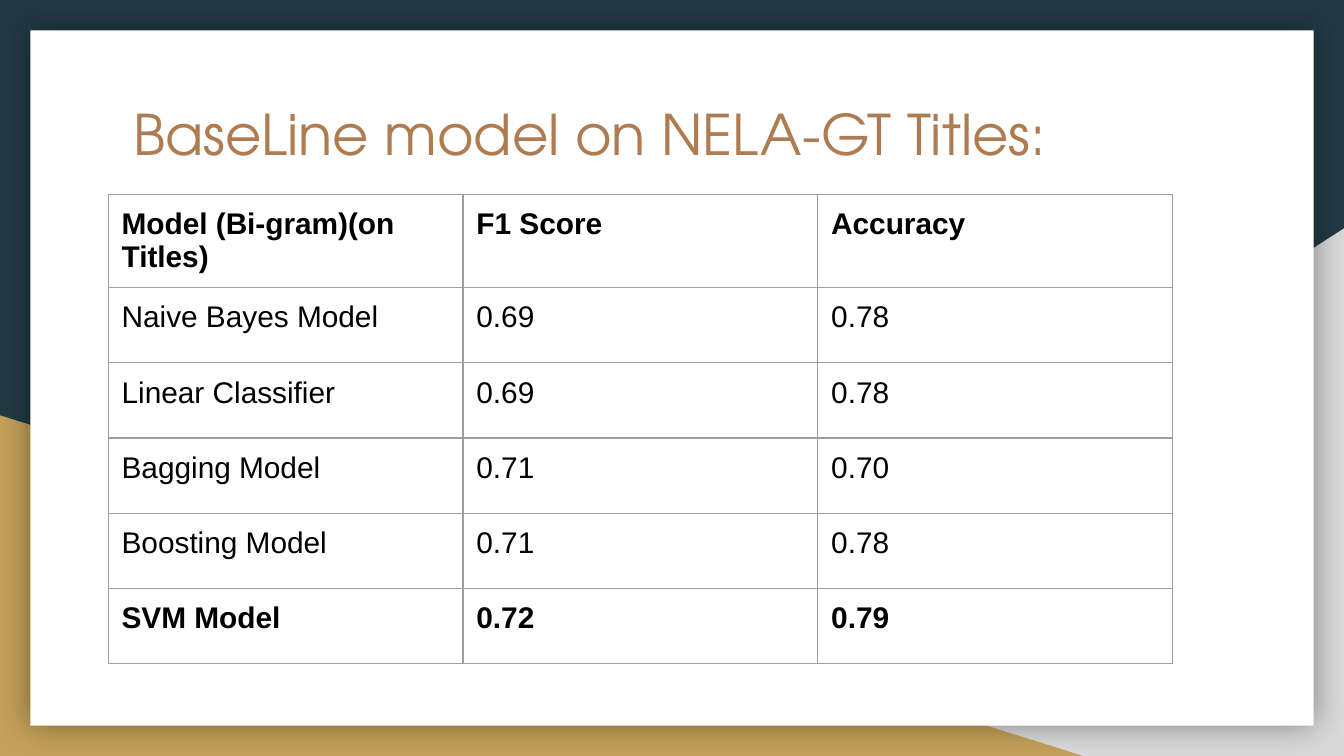
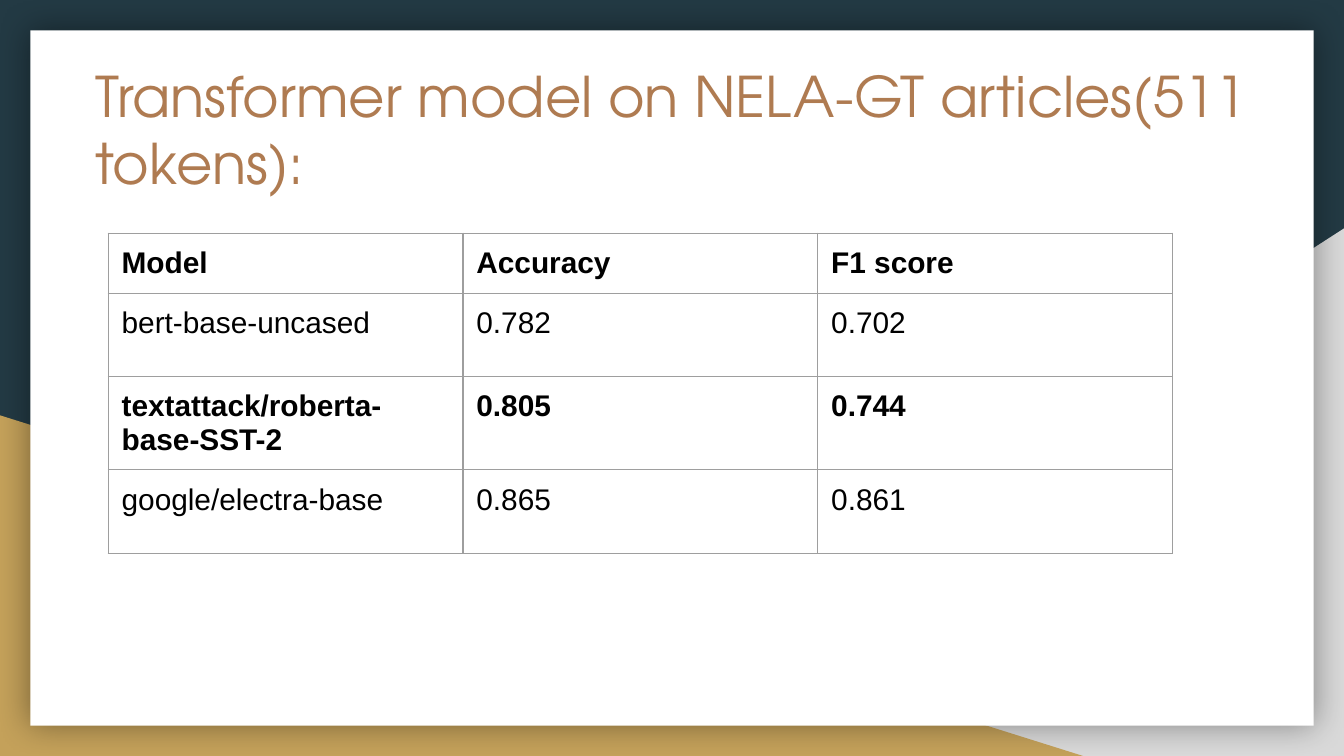
from lxml import etree
from pptx import Presentation
from pptx import util as u
from pptx.dml import color
from pptx.enum import shapes, text
from pptx.oxml import ns

PX = 4572
WIDTH, HEIGHT = 2000, 1125
MARGIN, INSET, COLUMN = 45, 20, 528
NAVY, GREY, GOLD, WHITE = "233A44", "D9D9D9", "C4A15A", "FFFFFF"
COPPER, BLACK, RULE = "AF7B51", "000000", "9E9E9E"
HEAD_FONT, BODY_FONT = "TeX Gyre Adventor", "Arial"


def px(n):
    return u.Emu(n * PX)


def rgb(value):
    return color.RGBColor.from_string(value)


def sub(parent, tag, **attrs):
    return etree.SubElement(parent, ns.qn(tag), attrs)


def write(tf, content, size, font, fill, bold=False):
    tf.word_wrap = True
    p = tf.paragraphs[0]
    p.alignment = text.PP_ALIGN.LEFT
    r = p.add_run()
    r.text = content
    r.font.size = u.Pt(size)
    r.font.name = font
    r.font.bold = bold
    r.font.color.rgb = rgb(fill)


class Deck:
    def __init__(self):
        self.prs = Presentation()
        self.prs.slide_width, self.prs.slide_height = px(WIDTH), px(HEIGHT)
        fill = self.prs.slide_master.background.fill
        fill.solid()
        fill.fore_color.rgb = rgb(NAVY)
        self.s = None

    def slide(self):
        self.s = self.prs.slides.add_slide(self.prs.slide_layouts[5])
        triangle = shapes.MSO_SHAPE.RIGHT_TRIANGLE
        right = self.shape(triangle, (784, 340, WIDTH - 784, HEIGHT - 340), GREY)
        right._element.spPr.xfrm.set("flipH", "1")
        self.shape(triangle, (0, 618, 1612, HEIGHT - 618), GOLD)
        card = (MARGIN, MARGIN, WIDTH - 2 * MARGIN, HEIGHT - 2 * MARGIN)
        self.glow(self.shape(shapes.MSO_SHAPE.RECTANGLE, card, WHITE))

    def shape(self, kind, box, fill):
        sp = self.s.shapes.add_shape(kind, *map(px, box))
        sp.shadow.inherit = False
        sp.fill.solid()
        sp.fill.fore_color.rgb = rgb(fill)
        sp.line.fill.background()
        return sp

    def glow(self, sp):
        effects = sp._element.spPr.find(ns.qn("a:effectLst"))
        shadow = sub(effects, "a:outerShdw", blurRad=str(u.Pt(18)), dist="0",
                     dir="0", algn="ctr", rotWithShape="0")
        sub(sub(shadow, "a:srgbClr", val=BLACK), "a:alpha", val="40000")

    def title(self, content, box):
        sp = self.s.shapes.title
        sp.left, sp.top, sp.width, sp.height = map(px, box)
        self.s.shapes._spTree.append(sp._element)
        tf = sp.text_frame
        tf.auto_size = text.MSO_AUTO_SIZE.NONE
        tf.vertical_anchor = text.MSO_ANCHOR.TOP
        tf.margin_left = tf.margin_right = px(INSET)
        tf.margin_top = tf.margin_bottom = px(INSET)
        write(tf, content, 30, HEAD_FONT, COPPER)

    def table(self, rows, top, heights, bold_rows):
        cols = len(rows[0])
        frame = self.s.shapes.add_table(len(rows), cols, px(161), px(top),
                                        px(COLUMN * cols), px(sum(heights)))
        table = frame.table
        table.first_row = table.horz_banding = False
        for column in table.columns:
            column.width = px(COLUMN)
        for i, (values, height) in enumerate(zip(rows, heights)):
            table.rows[i].height = px(height)
            for j, value in enumerate(values):
                self.cell(table.cell(i, j), value, i in bold_rows)

    def cell(self, cell, value, bold):
        cell.margin_left = cell.margin_right = px(INSET)
        cell.margin_top = cell.margin_bottom = px(INSET)
        tc_pr = cell._tc.get_or_add_tcPr()
        for side in "LRTB":
            line = sub(tc_pr, f"a:ln{side}", w=str(u.Pt(0.75)))
            sub(sub(line, "a:solidFill"), "a:srgbClr", val=RULE)
        cell.fill.background()
        write(cell.text_frame, value, 16, BODY_FONT, BLACK, bold)


def main():
    deck = Deck()

    deck.slide()
    deck.table([
        ("Model (Bi-gram)(on Titles)", "F1 Score", "Accuracy"),
        ("Naive Bayes Model", "0.69", "0.78"),
        ("Linear Classifier", "0.69", "0.78"),
        ("Bagging Model", "0.71", "0.70"),
        ("Boosting Model", "0.71", "0.78"),
        ("SVM Model", "0.72", "0.79"),
    ], top=289, heights=[134] + [112] * 5, bold_rows=(0, 5))
    deck.title("BaseLine model on NELA-GT Titles:", (178, 128, 1566, 110))

    deck.slide()
    deck.table([
        ("Model", "Accuracy", "F1 score"),
        ("bert-base-uncased", "0.782", "0.702"),
        ("textattack/roberta-base-SST-2", "0.805", "0.744"),
        ("google/electra-base", "0.865", "0.861"),
    ], top=347, heights=[80] + [124] * 3, bold_rows=(0, 2))
    deck.title("Transformer model on NELA-GT articles(511 tokens):",
               (122, 72, 1816, 240))

    deck.prs.save("out.pptx")


if __name__ == "__main__":
    main()
